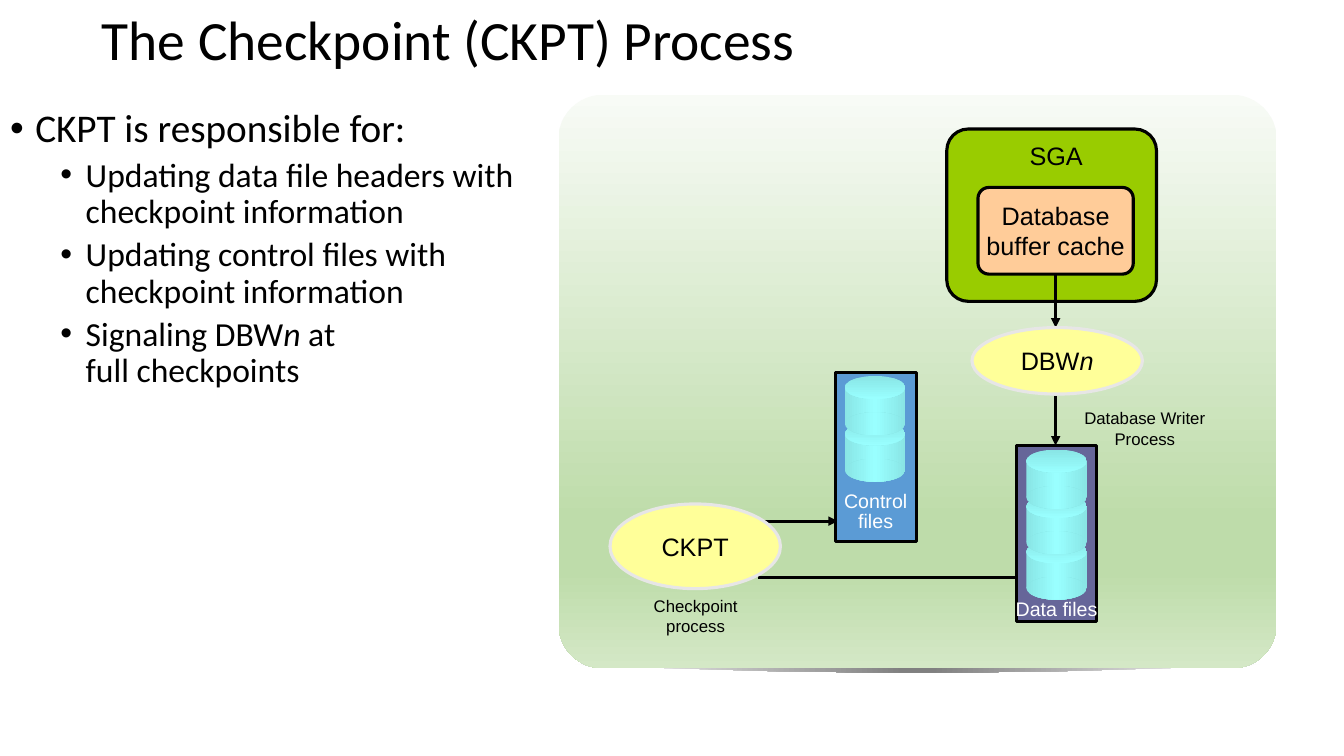
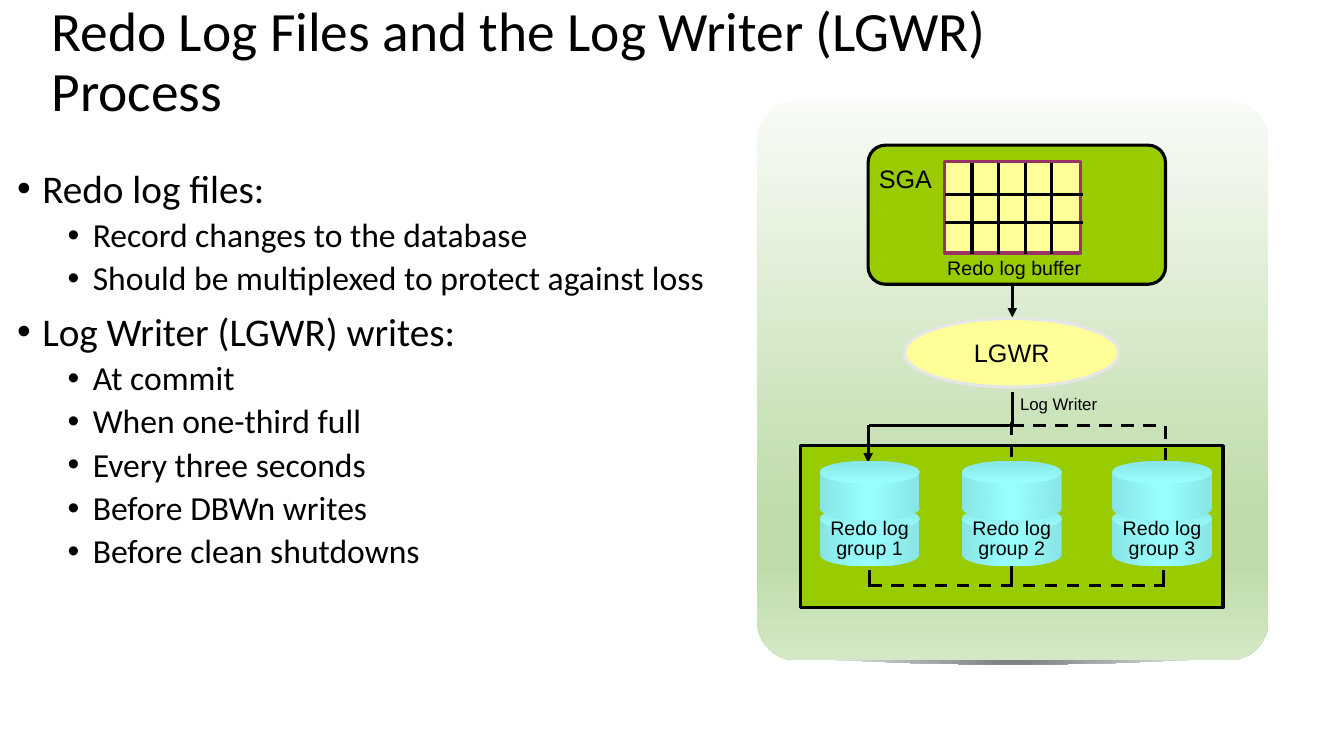
"""Two slides on database background processes, each a bullet list beside a diagram."""
from dataclasses import dataclass

from lxml.etree import SubElement
from pptx import Presentation
from pptx.dml.color import RGBColor
from pptx.enum.dml import MSO_LINE
from pptx.enum.shapes import MSO_CONNECTOR, MSO_SHAPE
from pptx.enum.text import MSO_ANCHOR, MSO_AUTO_SIZE, PP_ALIGN
from pptx.oxml.ns import qn
from pptx.util import Pt

PX = 9144


@dataclass(frozen=True)
class Theme:
    ink: str = "000000"
    light: str = "FFFFFF"
    memory: str = "99CC00"
    cache: str = "FFCC99"
    process: str = "FFFF99"
    process_edge: str = "E7E6E6"
    buffer_edge: str = "993366"
    control: str = "5B9BD5"
    data: str = "666699"
    panel: tuple = ((0, "F8FBF6"), (74, "BEDCAA"), (83, "BEDCAA"), (100, "D4E8C6"))
    shade: tuple = ((4, "808080"), (100, "FFFFFF"))
    disk_side: tuple = ((0, "89E5E5"), (50, "99FFFF"), (100, "89E5E5"))
    disk_top: tuple = ((0, "89E5E5"), (100, "99FFFF"))
    text_font: str = "Calibri"
    diagram_font: str = "Arial"
    title: float = 39.6
    bullets: tuple = (28, 24)
    bullet_gaps: tuple = (10, 5)
    name: int = 18
    caption: int = 14
    note: int = 12
    stroke: float = 2.25


class Deck:
    def __init__(self, theme, width, height):
        self.theme = theme
        self.show = Presentation()
        self.show.slide_width, self.show.slide_height = width * PX, height * PX
        self.slide = None

    def add_slide(self, title, title_box, bullets, bullet_box, panel_box):
        self.slide = self.show.slides.add_slide(self.show.slide_layouts[1])
        self.panel(*panel_box)
        heading, body = self.slide.placeholders
        self.place(heading, title_box)
        heading.text_frame.vertical_anchor = MSO_ANCHOR.MIDDLE
        self.compose(heading.text_frame.paragraphs[0], title, self.theme.title,
                     font=self.theme.text_font, align=PP_ALIGN.LEFT, spacing=0.9)
        self.place(body, bullet_box)
        for index, (level, text) in enumerate(bullets):
            frame = body.text_frame
            paragraph = frame.add_paragraph() if index else frame.paragraphs[0]
            self.bullet(paragraph, level, text)

    def place(self, holder, box):
        holder.left, holder.top, holder.width, holder.height = (n * PX for n in box)
        holder.text_frame.auto_size = MSO_AUTO_SIZE.NONE
        holder.text_frame.word_wrap = True
        tree = self.slide.shapes._spTree
        tree.remove(holder._element)
        tree.append(holder._element)

    def bullet(self, paragraph, level, text):
        paragraph.level = level
        self.compose(paragraph, text, self.theme.bullets[level],
                     font=self.theme.text_font, align=PP_ALIGN.LEFT, spacing=0.9)
        paragraph.space_before = Pt(self.theme.bullet_gaps[level])
        properties = paragraph._p.get_or_add_pPr()
        properties.set("marL", str((25 + 50 * level) * PX))
        properties.set("indent", str(-25 * PX))
        mark = properties.makeelement(qn("a:buChar"), {"char": "•"})
        properties.find(qn("a:defRPr")).addprevious(mark)

    def compose(self, paragraph, text, size, colour=None, font=None,
                align=PP_ALIGN.CENTER, spacing=1.0):
        for part, phrase in enumerate(text.split("*")):
            for row, words in enumerate(phrase.split("\n")):
                if row:
                    paragraph.add_line_break()
                if words:
                    run = paragraph.add_run()
                    run.text = words
                    if part % 2:
                        run.font.italic = True
        paragraph.alignment, paragraph.line_spacing = align, spacing
        paragraph.font.size = Pt(size)
        paragraph.font.name = font or self.theme.diagram_font
        paragraph.font.color.rgb = RGBColor.from_string(colour or self.theme.ink)

    def gradient(self, shape, stops, angle=None):
        shape.fill.gradient()
        fill = shape._element.spPr.find(qn("a:gradFill"))
        for child in list(fill):
            fill.remove(child)
        stop_list = SubElement(fill, qn("a:gsLst"))
        for position, colour in stops:
            stop = SubElement(stop_list, qn("a:gs"), pos=str(position * 1000))
            SubElement(stop, qn("a:srgbClr"), val=colour)
        if angle is None:
            centre = SubElement(fill, qn("a:path"), {"path": "circle"})
            SubElement(centre, qn("a:fillToRect"), dict.fromkeys("ltrb", "50000"))
        else:
            SubElement(fill, qn("a:lin"), ang=str(angle * 60000), scaled="0")

    def shape(self, kind, box, fill, edge=None, angle=0, corner=None, text=""):
        shape = self.slide.shapes.add_shape(kind, *(n * PX for n in box))
        shape.shadow.inherit = False
        if corner is not None:
            shape.adjustments[0] = corner
        if isinstance(fill, tuple):
            self.gradient(shape, fill, angle)
        else:
            shape.fill.solid()
            shape.fill.fore_color.rgb = RGBColor.from_string(fill)
        if edge:
            shape.line.color.rgb = RGBColor.from_string(edge)
            shape.line.width = Pt(self.theme.stroke)
        else:
            shape.line.fill.background()
        if text:
            shape.text_frame.word_wrap = False
            shape.text_frame.vertical_anchor = MSO_ANCHOR.MIDDLE
            self.compose(shape.text_frame.paragraphs[0], text, self.theme.name)

    def block(self, box, fill, edge=None):
        self.shape(MSO_SHAPE.RECTANGLE, box, fill, edge or self.theme.ink)

    def rounded(self, box, fill, text=""):
        self.shape(MSO_SHAPE.ROUNDED_RECTANGLE, box, fill, self.theme.ink,
                   corner=0.125, text=text)

    def process(self, box, text):
        self.shape(MSO_SHAPE.OVAL, box, self.theme.process, self.theme.process_edge, text=text)

    def panel(self, left, top, width, height):
        half, centre, bottom = width / 2 - 12, left + width / 2, top + height - 4
        curve = [(centre + half * t / 10, bottom + 8 * (1 - t * t / 100))
                 for t in range(-10, 11)]
        builder = self.slide.shapes.build_freeform(*curve[0], scale=PX)
        builder.add_line_segments(curve[1:], close=True)
        shade = builder.convert_to_shape()
        shade.shadow.inherit = False
        self.gradient(shade, self.theme.shade)
        shade.line.fill.background()
        self.shape(MSO_SHAPE.ROUNDED_RECTANGLE, (left, top, width, height),
                   self.theme.panel, angle=90, corner=0.077)

    def label(self, box, text, size, colour=None, inset=(6, 3), spacing=1.0):
        frame = self.slide.shapes.add_textbox(*(n * PX for n in box)).text_frame
        frame.word_wrap = True
        frame.margin_left = frame.margin_right = inset[0] * PX
        frame.margin_top = frame.margin_bottom = inset[1] * PX
        self.compose(frame.paragraphs[0], text, size, colour, spacing=spacing)

    def line(self, x1, y1, x2, y2, arrow=False, dashed=False):
        line = self.slide.shapes.add_connector(
            MSO_CONNECTOR.STRAIGHT, *(n * PX for n in (x1, y1, x2, y2)))
        line.line.color.rgb = RGBColor.from_string(self.theme.ink)
        line.line.width = Pt(self.theme.stroke)
        if dashed:
            line.line.dash_style = MSO_LINE.DASH
        properties = line._element.spPr
        if arrow:
            SubElement(properties.find(qn("a:ln")), qn("a:tailEnd"), type="triangle")
        SubElement(properties, qn("a:effectLst"))

    def disks(self, left, top, width, count, pitch=46):
        for level in reversed(range(count)):
            y = top + level * pitch
            self.shape(MSO_SHAPE.RECTANGLE, (left, y + 12, width, 35), self.theme.disk_side)
            self.shape(MSO_SHAPE.OVAL, (left, y, width, 23), self.theme.disk_top, angle=90)
            self.shape(MSO_SHAPE.OVAL, (left, y + 36, width, 23), self.theme.disk_side)


def checkpoint_slide(deck):
    theme = deck.theme
    deck.add_slide(
        "The Checkpoint (CKPT) Process", (91, 18, 1108, 48),
        [(0, "CKPT is responsible for:"),
         (1, "Updating data file headers with\ncheckpoint information"),
         (1, "Updating control files with\ncheckpoint information"),
         (1, "Signaling DBW*n* at \nfull checkpoints")],
        (0, 103, 1197, 289), (554, 94, 712, 569))
    deck.line(751, 517, 831, 517, arrow=True)
    deck.line(752, 573, 1012, 573)
    deck.rounded((939, 128, 208, 171), theme.memory)
    deck.label((1010, 141, 75, 32), "SGA", theme.name, spacing=0.85)
    deck.rounded((970, 186, 154, 86), theme.cache, "Database\nbuffer cache")
    deck.line(1047, 271, 1047, 325, arrow=True)
    deck.label((625, 586, 130, 50), "Checkpoint process", theme.note, inset=(10, 5))
    deck.process((605, 500, 169, 84), "CKPT")
    deck.block((1008, 442, 80, 175), theme.data)
    deck.disks(1018, 446, 60, 3, pitch=45)
    deck.label((988, 590, 120, 32), "Data files", theme.caption, theme.light, (11, 6), 0.85)
    deck.block((829, 370, 80, 167), theme.control)
    deck.label((824, 483, 89, 52), "Control files", theme.caption, theme.light, (11, 6), 0.85)
    deck.disks(838, 373, 60, 2)
    deck.label((1049, 400, 173, 50), "Database Writer Process", theme.note, inset=(10, 5))
    deck.process((964, 325, 169, 66), "DBW*n*")
    deck.line(1047, 393, 1047, 442, arrow=True)


def log_writer_slide(deck):
    theme = deck.theme
    deck.add_slide(
        "Redo Log Files and the Log Writer (LGWR) Process", (41, 35, 1042, 56),
        [(0, "Redo log files:"),
         (1, "Record changes to the database"),
         (1, "Should be multiplexed to protect against loss"),
         (0, "Log Writer (LGWR) writes:"),
         (1, "At commit"),
         (1, "When one-third full"),
         (1, "Every three seconds"),
         (1, "Before DBWn writes"),
         (1, "Before clean shutdowns")],
        (7, 163, 1150, 476), (751, 100, 507, 555))
    deck.block((794, 442, 419, 161), theme.memory)
    for x, top in ((862, 565), (1003, 558), (1154, 565)):
        deck.line(x, top, x, 582)
    deck.line(1004, 282, 1004, 315, arrow=True)
    deck.line(862, 422, 1003, 422)
    deck.line(862, 581, 1154, 581, dashed=True)
    deck.line(1003, 422, 1154, 422, dashed=True)
    deck.line(861, 422, 861, 459, arrow=True)
    deck.line(1156, 423, 1156, 456, dashed=True)
    for group, left in enumerate((813, 954, 1103), 1):
        deck.disks(left, 457, 99, 2)
        deck.label((left - 14, 512, 127, 46), f"Redo log\ngroup {group}",
                   theme.caption, spacing=0.85)
    deck.line(1003, 419, 1003, 458, dashed=True)
    deck.rounded((861, 144, 295, 138), theme.memory)
    deck.label((861, 157, 74, 40), "SGA", theme.name, inset=(6, 5))
    deck.block((937, 160, 135, 91), theme.process, theme.buffer_edge)
    for column in range(4):
        x = 964 + round(column * 26.4)
        deck.line(x, 162, x, 252)
    for y in (193, 221):
        deck.line(937, y, 1074, y)
    deck.label((929, 249, 154, 34), "Redo log buffer", theme.caption, inset=(6, 5))
    deck.line(1004, 389, 1004, 422)
    deck.label((991, 386, 118, 30), "Log Writer", theme.note, inset=(10, 5))
    deck.process((897, 316, 213, 68), "LGWR")


def main():
    deck = Deck(Theme(), 1333, 750)
    checkpoint_slide(deck)
    log_writer_slide(deck)
    deck.show.save("out.pptx")


if __name__ == "__main__":
    main()
